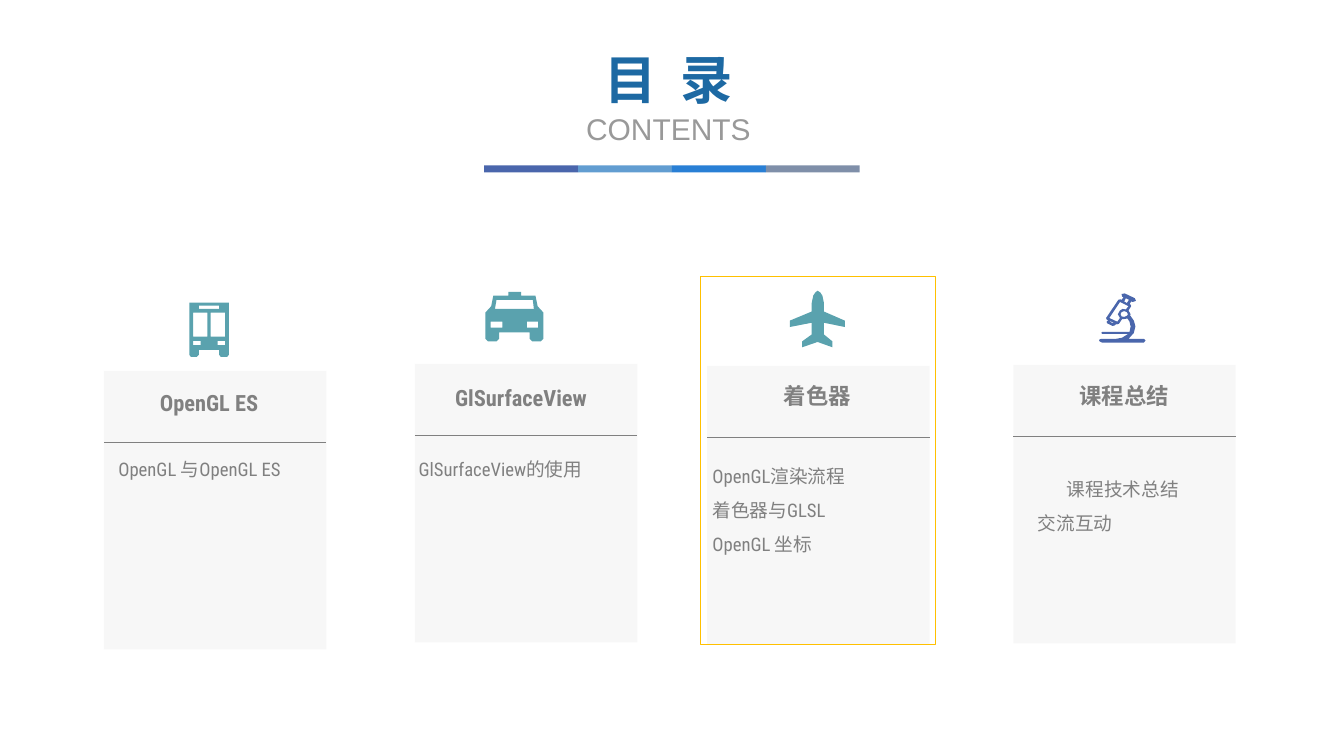
from dataclasses import dataclass

from lxml import etree
from pptx import Presentation
from pptx.dml.color import RGBColor
from pptx.enum import shapes, text
from pptx.oxml import ns
from pptx.util import Inches, Pt


@dataclass(frozen=True)
class Theme:
    font: str = "Roboto Condensed"
    subtitle_font: str = "Arial"
    title: str = "1D69A3"
    subtitle: str = "999999"
    grey: str = "808080"
    panel: str = "D9D9D9"
    teal: str = "5AA2AE"
    indigo: str = "4A66AC"
    highlight: str = "FFC000"
    bar: tuple = ("4A66AC", "629DD1", "297FD5", "7F8FA9")
    title_size: float = 70.6
    subtitle_size: float = 40.4
    heading_size: float = 30.2
    body_size: float = 25.2


THEME = Theme()
CARD_W, CARD_H, HEAD_H = 4.17, 5.22, 1.33
LEFT, CENTER = text.PP_ALIGN.LEFT, text.PP_ALIGN.CENTER

# Character formats
TITLE = dict(name=THEME.font, size=Pt(THEME.title_size), bold=True, color=THEME.title)
SUBTITLE = dict(name=THEME.subtitle_font, size=Pt(THEME.subtitle_size), bold=False,
                color=THEME.subtitle)
HEADING = dict(name=THEME.font, size=Pt(THEME.heading_size), bold=True, color=THEME.grey)
BODY = dict(name=THEME.font, size=Pt(THEME.body_size), bold=False, color=THEME.grey)


def box(x, y, w, h):
    """Outline of a rectangular window in an icon."""
    return [(x, y), (x + w, y), (x + w, y + h), (x, y + h)]


# Icon outlines in hundredths of an inch: the body first, then its openings
BUS = [
    [(0, 0), (74, 0), (74, 98), (71, 102), (59, 102), (56, 98), (56, 89), (18, 89),
     (18, 98), (14, 102), (3, 102), (0, 98)],
    box(18, 6, 38, 6), box(7, 19, 27, 45), box(40, 19, 27, 45),
    box(7, 72, 14, 8), box(53, 72, 14, 8),
]
TAXI = [
    [(5, 93), (21, 93), (26, 88), (26, 76), (83, 76), (83, 88), (88, 93), (104, 93),
     (109, 88), (109, 39), (98, 27), (94, 7), (67, 7), (67, 0), (43, 0), (43, 7),
     (15, 7), (11, 27), (0, 39), (0, 88)],
    [(21, 15), (89, 15), (91, 32), (18, 32)],
    box(10, 56, 22, 11), box(78, 56, 21, 11),
]
PLANE = [
    [(52, 0), (48, 3), (44, 9), (41, 23), (41, 39), (0, 56), (0, 68), (41, 60),
     (41, 82), (23, 95), (23, 106), (52, 96), (80, 106), (80, 95), (64, 82), (64, 60),
     (103, 68), (103, 56), (64, 39), (64, 23), (61, 9), (57, 3)],
]
MICROSCOPE = [
    [(58, 42), (65, 52), (68, 63), (65, 75), (57, 84), (55, 86), (84, 86), (87, 89),
     (84, 93), (5, 93), (1, 91), (0, 89), (1, 87), (5, 86), (32, 86), (43, 84),
     (51, 79), (54, 77), (6, 77), (4, 75), (6, 73), (57, 73), (59, 63), (57, 54),
     (53, 48), (47, 49), (43, 49), (37, 58), (33, 59), (32, 58), (29, 61), (25, 62),
     (15, 57), (14, 54), (17, 51), (14, 50), (13, 47), (36, 13), (40, 12), (42, 13),
     (46, 8), (43, 7), (42, 2), (48, 1), (67, 10), (69, 15), (63, 17), (60, 16),
     (57, 21), (59, 22), (60, 25), (55, 33), (59, 40)],
    [(56, 13), (50, 10), (47, 16), (52, 19)],
    [(50, 31), (55, 25), (39, 17), (19, 47), (34, 54), (39, 47), (35, 40), (39, 33),
     (44, 30)],
    [(52, 36), (47, 34), (42, 36), (40, 40), (42, 44), (47, 45), (52, 43), (54, 40)],
    [(21, 53), (20, 54), (26, 57), (27, 56)],
]


@dataclass(frozen=True)
class Card:
    at: tuple
    heading: str
    heading_box: tuple
    body: tuple
    body_box: tuple
    icon: list
    icon_at: tuple
    icon_color: str = THEME.teal
    aligns: tuple = (LEFT,) * 3
    wrap_heading: bool = True
    wrap_body: bool = True


CARDS = [
    Card((1.95, 6.95), "OpenGL ES", (2.35, 7.24, 3.14, 0.61),
         ("OpenGL 与OpenGL ES",), (2.12, 8.33, 4.17, 0.74), BUS, (3.55, 5.67)),
    Card((7.78, 6.82), "GlSurfaceView", (7.78, 7.16, 3.98, 0.61),
         ("GlSurfaceView的使用",), (7.75, 8.33, 4.35, 0.74), TAXI, (9.1, 5.47)),
    Card((13.26, 6.86), "着色器", (14.59, 7.12, 1.47, 0.61),
         ("OpenGL渲染流程", "着色器与GLSL", "OpenGL 坐标"), (13.26, 8.46, 4.17, 2.01),
         PLANE, (14.81, 5.45), wrap_heading=False),
    Card((19, 6.84), "课程总结", (20.13, 7.11, 1.9, 0.61),
         ("课程技术总结", "交流互动"), (19.36, 8.7, 3.38, 1.37),
         MICROSCOPE, (20.61, 5.49), THEME.indigo, (CENTER, LEFT),
         wrap_heading=False, wrap_body=False),
]


def paint(sp, fill=None, line=None, opacity=None):
    sp.shadow.inherit = False
    if fill:
        sp.fill.solid()
        sp.fill.fore_color.rgb = RGBColor.from_string(fill)
    else:
        sp.fill.background()
    if opacity:
        color = sp.fill._xPr.find(".//" + ns.qn("a:srgbClr"))
        etree.SubElement(color, ns.qn("a:alpha"), val=str(opacity * 1000))
    if line:
        sp.line.color.rgb = RGBColor.from_string(line)
        sp.line.width = Pt(1)
    else:
        sp.line.fill.background()


def add_rect(s, x, y, w, h, **look):
    sp = s.shapes.add_shape(shapes.MSO_SHAPE.RECTANGLE, *map(Inches, (x, y, w, h)))
    paint(sp, **look)


def add_divider(s, x, y, w):
    line = s.shapes.add_connector(shapes.MSO_CONNECTOR.STRAIGHT,
                                  *map(Inches, (x, y, x + w, y)))
    line.line.color.rgb = RGBColor.from_string(THEME.grey)
    line.line.width = Pt(0.5)
    etree.SubElement(line._element.spPr, ns.qn("a:effectLst"))


def add_icon(s, contours, at, color):
    first, *openings = contours
    builder = s.shapes.build_freeform(*first[0], scale=Inches(0.01))
    builder.add_line_segments(first[1:], close=True)
    for points in openings:
        builder.move_to(*points[0])
        builder.add_line_segments(points[1:], close=True)
    paint(builder.convert_to_shape(*map(Inches, at)), fill=color)


def add_text(s, at, lines, wrap=True, spacing=None):
    """Each line is (wording, format, alignment)."""
    tf = s.shapes.add_textbox(*map(Inches, at)).text_frame
    tf.word_wrap = wrap
    tf.auto_size = text.MSO_AUTO_SIZE.SHAPE_TO_FIT_TEXT
    for i, (wording, fmt, align) in enumerate(lines):
        p = tf.add_paragraph() if i else tf.paragraphs[0]
        p.alignment, p.line_spacing = align, spacing
        r = p.add_run()
        r.text = wording
        for key, value in fmt.items():
            if key == "color":
                r.font.color.rgb = RGBColor.from_string(value)
            else:
                setattr(r.font, key, value)


def add_card(s, card):
    x, y = card.at
    add_rect(s, x, y, CARD_W, CARD_H, fill=THEME.panel, opacity=20)
    add_divider(s, x, y + HEAD_H, CARD_W)
    add_icon(s, card.icon, card.icon_at, card.icon_color)
    add_text(s, card.heading_box, [(card.heading, HEADING, CENTER)], card.wrap_heading)
    body = [(line, BODY, align) for line, align in zip(card.body, card.aligns)]
    add_text(s, card.body_box, body, card.wrap_body, spacing=1.5)


def main():
    prs = Presentation()
    prs.slide_width, prs.slide_height = Inches(25.2), Inches(14.17)
    s = prs.slides.add_slide(prs.slide_layouts[6])

    # Title and four-colour bar
    for i, color in enumerate(THEME.bar):
        add_rect(s, 9.08 + 1.76 * i, 3.1, 1.76, 0.13, fill=color)
    add_text(s, (10.5, 0.84, 4.07, 1.97),
             [("目  录", TITLE, CENTER), ("CONTENTS", SUBTITLE, CENTER)])

    # Chapter cards, with a frame around the current one
    for card in CARDS:
        add_card(s, card)
    add_rect(s, 13.14, 5.18, 4.39, 6.9, line=THEME.highlight)

    prs.save("out.pptx")


if __name__ == "__main__":
    main()
